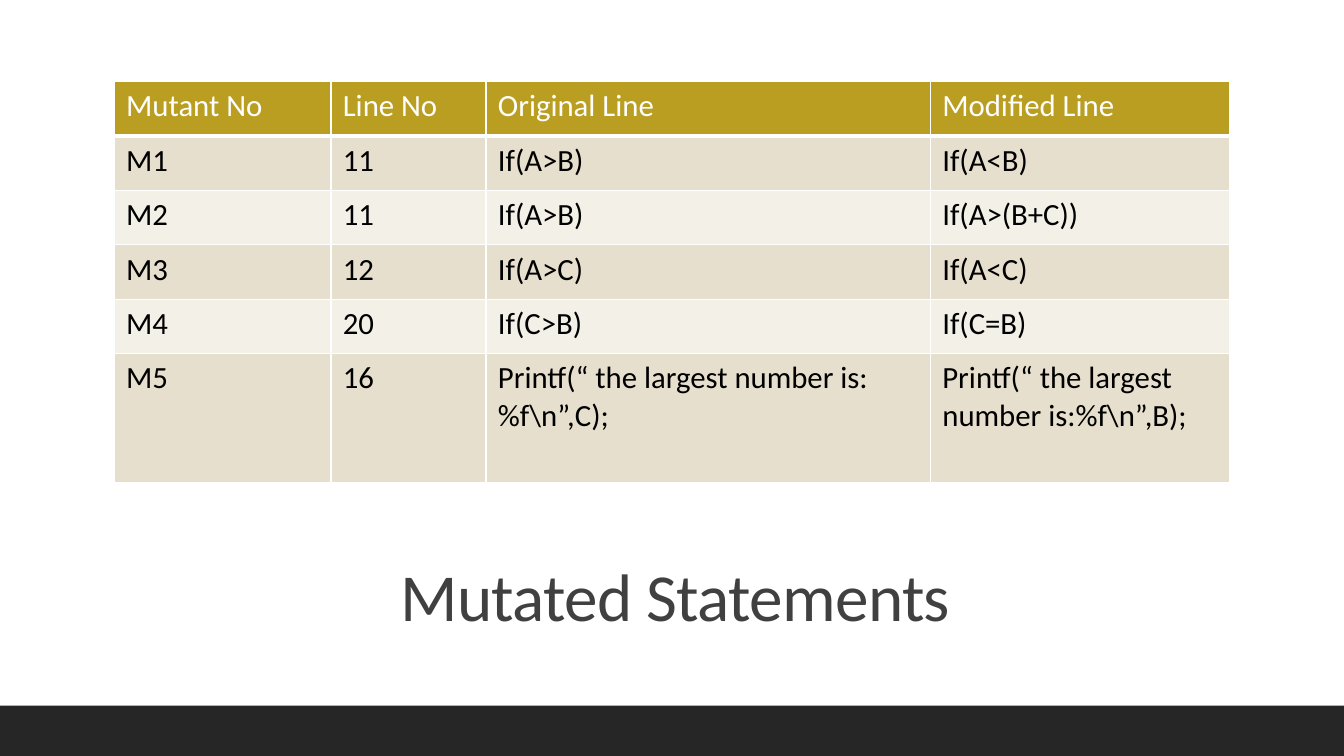
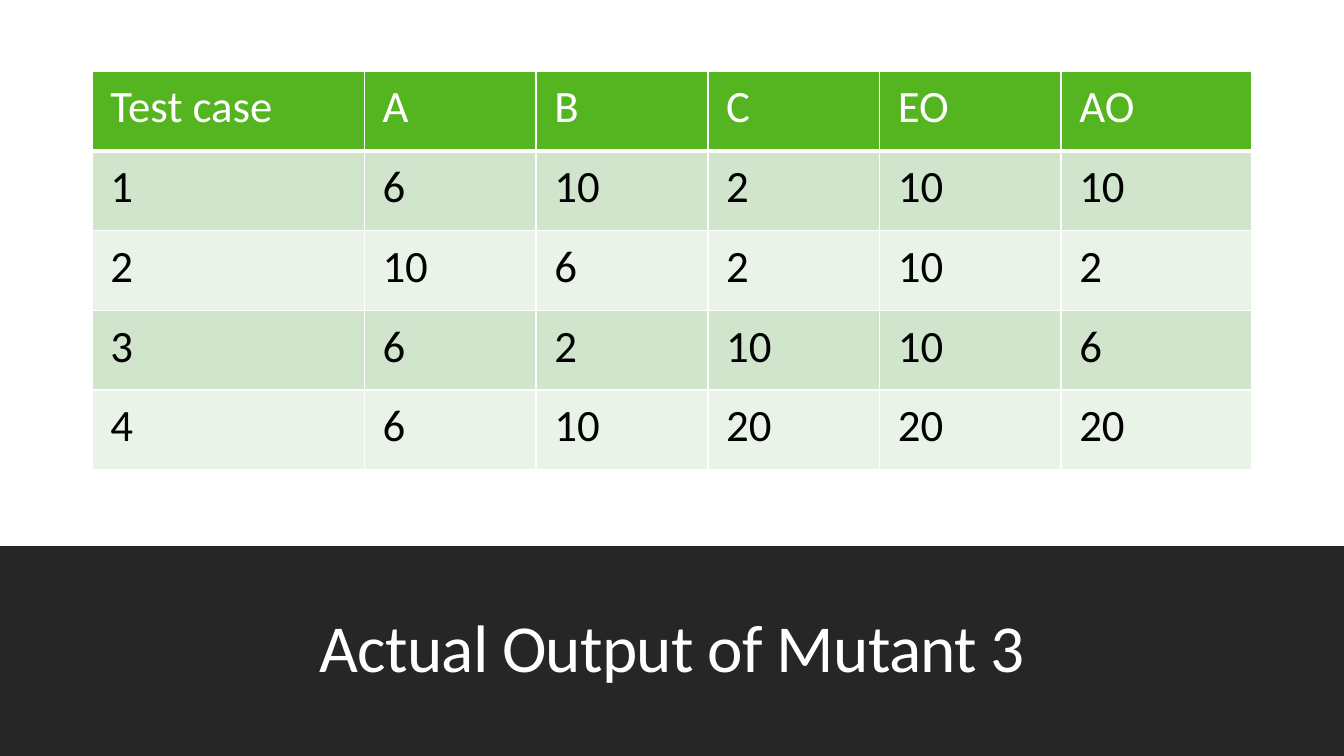
from lxml import etree
from pptx import Presentation
from pptx.dml.color import RGBColor
from pptx.enum.shapes import MSO_SHAPE
from pptx.enum.text import MSO_ANCHOR, PP_ALIGN
from pptx.oxml.ns import qn
from pptx.util import Cm, Pt

RECTANGLE = MSO_SHAPE.RECTANGLE
MIDDLE, BOTTOM = MSO_ANCHOR.MIDDLE, MSO_ANCHOR.BOTTOM
CENTER = PP_ALIGN.CENTER

# Shared look
SLIDE_WIDTH, SLIDE_HEIGHT = 33.87, 19.05
FONT = "Calibri"
WHITE, BLACK, CHARCOAL, GREY = "FFFFFF", "000000", "262626", "404040"
# Header fill, then the two alternating body fills
GOLD = ("BA9E21", "E7DFCD", "F3F0E8")
GREEN = ("54B520", "D1E5CD", "E9F3E8")

MUTANTS = [
    ["Mutant No", "Line No", "Original Line", "Modified Line"],
    ["M1", "11", "If(A>B)", "If(A<B)"],
    ["M2", "11", "If(A>B)", "If(A>(B+C))"],
    ["M3", "12", "If(A>C)", "If(A<C)"],
    ["M4", "20", "If(C>B)", "If(C=B)"],
    ["M5", "16", "Printf(“ the largest number is:%f\\n”,C);",
     "Printf(“ the largest number is:%f\\n”,B);"],
]
OUTPUTS = [
    ["Test case", "A", "B", "C", "EO", "AO"],
    ["1", "6", "10", "2", "10", "10"],
    ["2", "10", "6", "2", "10", "2"],
    ["3", "6", "2", "10", "10", "6"],
    ["4", "6", "10", "20", "20", "20"],
]


def rgb(color):
    return RGBColor.from_string(color)


def style_font(font, size, color):
    font.name, font.size, font.bold = FONT, Pt(size), False
    font.color.rgb = rgb(color)


def add_band(slide, top):
    """Dark band from the given height down to the slide's bottom edge."""
    band = slide.shapes.add_shape(RECTANGLE, 0, Cm(top), Cm(SLIDE_WIDTH),
                                  Cm(SLIDE_HEIGHT - top))
    band.shadow.inherit = False
    band.fill.solid()
    band.fill.fore_color.rgb = rgb(CHARCOAL)
    band.line.fill.background()


def add_title(slide, text, left, top, height, color, anchor):
    title = slide.shapes.add_textbox(Cm(left), Cm(top), Cm(27.94), Cm(height))
    frame = title.text_frame
    frame.word_wrap = True
    frame.vertical_anchor = anchor
    frame.text = text
    paragraph = frame.paragraphs[0]
    paragraph.alignment = CENTER
    paragraph.line_spacing = 0.9
    run = paragraph.runs[0]
    style_font(run.font, 48, color)
    run.font._element.set("spc", "-50")


def set_borders(cell, bottom_width):
    """White cell borders, which must come before the fill in the XML."""
    properties = cell._tc.get_or_add_tcPr()
    for side, width in (("L", 1), ("R", 1), ("T", 1), ("B", bottom_width)):
        border = etree.SubElement(properties, qn(f"a:ln{side}"), w=str(Pt(width)))
        fill = etree.SubElement(border, qn("a:solidFill"))
        etree.SubElement(fill, qn("a:srgbClr"), val=WHITE)


def add_banded_table(slide, rows, left, top, widths, heights, palette, size, inset):
    frame = slide.shapes.add_table(len(rows), len(widths), Cm(left), Cm(top),
                                   Cm(sum(widths)), Cm(sum(heights)))
    table = frame.table
    for column, width in zip(table.columns, widths):
        column.width = Cm(width)
    for row, height in zip(table.rows, heights):
        row.height = Cm(height)

    header_fill, *body_fills = palette
    for r, texts in enumerate(rows):
        is_header = r == 0
        for c, text in enumerate(texts):
            cell = table.cell(r, c)
            cell.margin_left = cell.margin_right = Cm(inset)
            cell.margin_top = cell.margin_bottom = Cm(inset / 2)
            set_borders(cell, 3 if is_header else 1)
            cell.fill.solid()
            cell.fill.fore_color.rgb = rgb(
                header_fill if is_header else body_fills[(r - 1) % 2])
            cell.text = text
            style_font(cell.text_frame.paragraphs[0].runs[0].font, size,
                       WHITE if is_header else BLACK)


def main():
    deck = Presentation()
    deck.slide_width, deck.slide_height = Cm(SLIDE_WIDTH), Cm(SLIDE_HEIGHT)
    blank = deck.slide_layouts[6]

    # Mutated statements
    statements = deck.slides.add_slide(blank)
    add_band(statements, 17.78)
    add_title(statements, "Mutated Statements", 3.05, 13.46, 3.3, GREY, MIDDLE)
    add_banded_table(statements, MUTANTS, 2.88, 2.06, [5.46, 3.91, 11.2, 7.54],
                     [1.37] * 5 + [3.25], GOLD, 22, 0.3)

    # Output of mutant 3
    output = deck.slides.add_slide(blank)
    add_band(output, 13.76)
    add_title(output, "Actual Output of Mutant 3", 2.97, 14.58, 2.87, WHITE, BOTTOM)
    add_banded_table(output, OUTPUTS, 2.32, 1.79, [6.86] + [4.33] * 3 + [4.57, 4.8],
                     [2.01] * 5, GREEN, 32, 0.46)

    deck.save("out.pptx")


if __name__ == "__main__":
    main()
